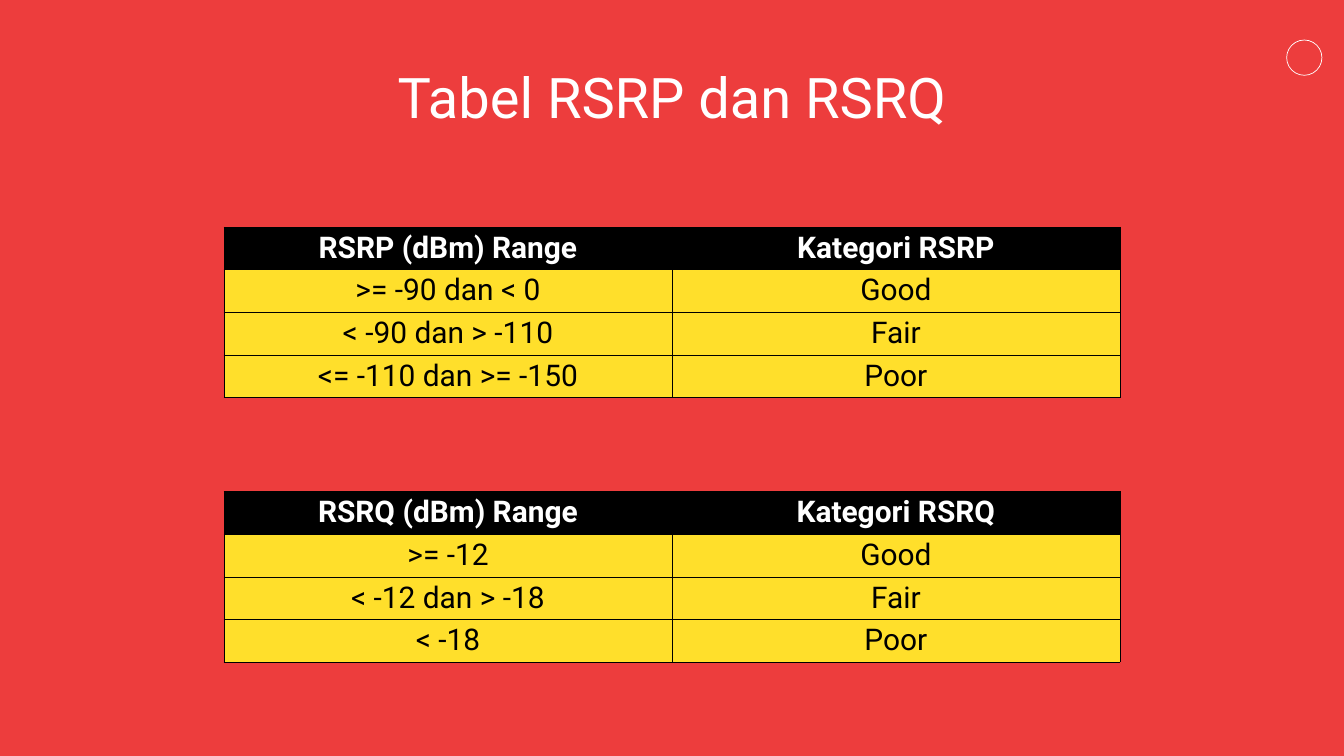
from dataclasses import dataclass

from lxml.etree import SubElement
from pptx import Presentation
from pptx.dml.color import RGBColor
from pptx.enum.shapes import MSO_SHAPE
from pptx.enum.text import MSO_ANCHOR, MSO_AUTO_SIZE, PP_ALIGN
from pptx.oxml.ns import qn
from pptx.slide import Slide
from pptx.table import _Cell
from pptx.text.text import TextFrame
from pptx.util import Cm, Pt

COLOURS = {
    "background": "ED3D3D",
    "white": "FFFFFF",
    "black": "000000",
    "yellow": "FFDF2B",
}
FONT = "Roboto"
PAGE_WIDTH, PAGE_HEIGHT = 50.8, 28.58
COLUMN_WIDTH, ROW_HEIGHT = 16.93, 1.61


@dataclass
class SignalTable:
    measure: str
    top: float
    ranges: tuple[str, str, str]
    categories: tuple[str, str, str] = ("Good", "Fair", "Poor")

    def rows(self) -> list[tuple[str, str]]:
        header = (f"{self.measure} (dBm) Range", f"Kategori {self.measure}")
        return [header, *zip(self.ranges, self.categories)]


SIGNAL_TABLES = [
    SignalTable("RSRP", 8.59, (">= -90 dan < 0", "< -90 dan > -110", "<= -110 dan >= -150")),
    SignalTable("RSRQ", 18.59, (">= -12", "< -12 dan > -18", "< -18")),
]


def colour(name: str) -> RGBColor:
    return RGBColor.from_string(COLOURS[name])


def write_text(frame: TextFrame, text: str, *, size: float, color: str,
               bold: bool = False, line_spacing: float | None = None) -> None:
    paragraph = frame.paragraphs[0]
    paragraph.alignment = PP_ALIGN.CENTER
    if line_spacing is not None:
        paragraph.line_spacing = Pt(line_spacing)
    span = paragraph.add_run()
    span.text = text
    span.font.name = FONT
    span.font.size = Pt(size)
    span.font.bold = bold
    span.font.color.rgb = colour(color)


def add_borders(cell: _Cell, color: str, width: float) -> None:
    """Outline all four sides; call before the fill is set, as the schema orders them so."""
    properties = cell._tc.get_or_add_tcPr()
    for side in ("lnL", "lnR", "lnT", "lnB"):
        line = SubElement(properties, qn(f"a:{side}"), w=str(Pt(width)))
        fill = SubElement(line, qn("a:solidFill"))
        SubElement(fill, qn("a:srgbClr"), val=COLOURS[color])


def add_title(page: Slide, text: str) -> None:
    width = 23.98
    box = page.shapes.add_textbox(Cm((PAGE_WIDTH - width) / 2), Cm(2.57), Cm(width), Cm(2.41))
    frame = box.text_frame
    frame.word_wrap = True
    frame.auto_size = MSO_AUTO_SIZE.SHAPE_TO_FIT_TEXT
    frame.margin_left = frame.margin_right = frame.margin_top = frame.margin_bottom = 0
    write_text(frame, text, size=60, color="white", line_spacing=66)


def add_ring(page: Slide) -> None:
    ring = page.shapes.add_shape(MSO_SHAPE.DONUT, Cm(48.62), Cm(1.5), Cm(1.36), Cm(1.36))
    ring.adjustments[0] = 0.02
    ring.shadow.inherit = False
    ring.fill.solid()
    ring.fill.fore_color.rgb = colour("white")
    ring.line.fill.background()


def add_signal_table(page: Slide, signal: SignalTable) -> None:
    rows = signal.rows()
    width = 2 * COLUMN_WIDTH
    table = page.shapes.add_table(
        len(rows), 2, Cm((PAGE_WIDTH - width) / 2), Cm(signal.top),
        Cm(width), Cm(ROW_HEIGHT * len(rows))).table
    table.first_row = table.horz_banding = False
    for row_index, texts in enumerate(rows):
        table.rows[row_index].height = Cm(ROW_HEIGHT)
        is_header = row_index == 0
        for column_index, text in enumerate(texts):
            cell = table.cell(row_index, column_index)
            add_borders(cell, "black", 1)
            cell.fill.solid()
            cell.fill.fore_color.rgb = colour("black" if is_header else "yellow")
            cell.vertical_anchor = MSO_ANCHOR.TOP
            write_text(cell.text_frame, text, size=32, bold=is_header,
                       color="white" if is_header else "black")


def main() -> None:
    deck = Presentation()
    deck.slide_width, deck.slide_height = Cm(PAGE_WIDTH), Cm(PAGE_HEIGHT)
    page = deck.slides.add_slide(deck.slide_layouts[6])
    page.background.fill.solid()
    page.background.fill.fore_color.rgb = colour("background")
    add_ring(page)
    add_title(page, "Tabel RSRP dan RSRQ")
    for signal in SIGNAL_TABLES:
        add_signal_table(page, signal)
    deck.save("out.pptx")


if __name__ == "__main__":
    main()
